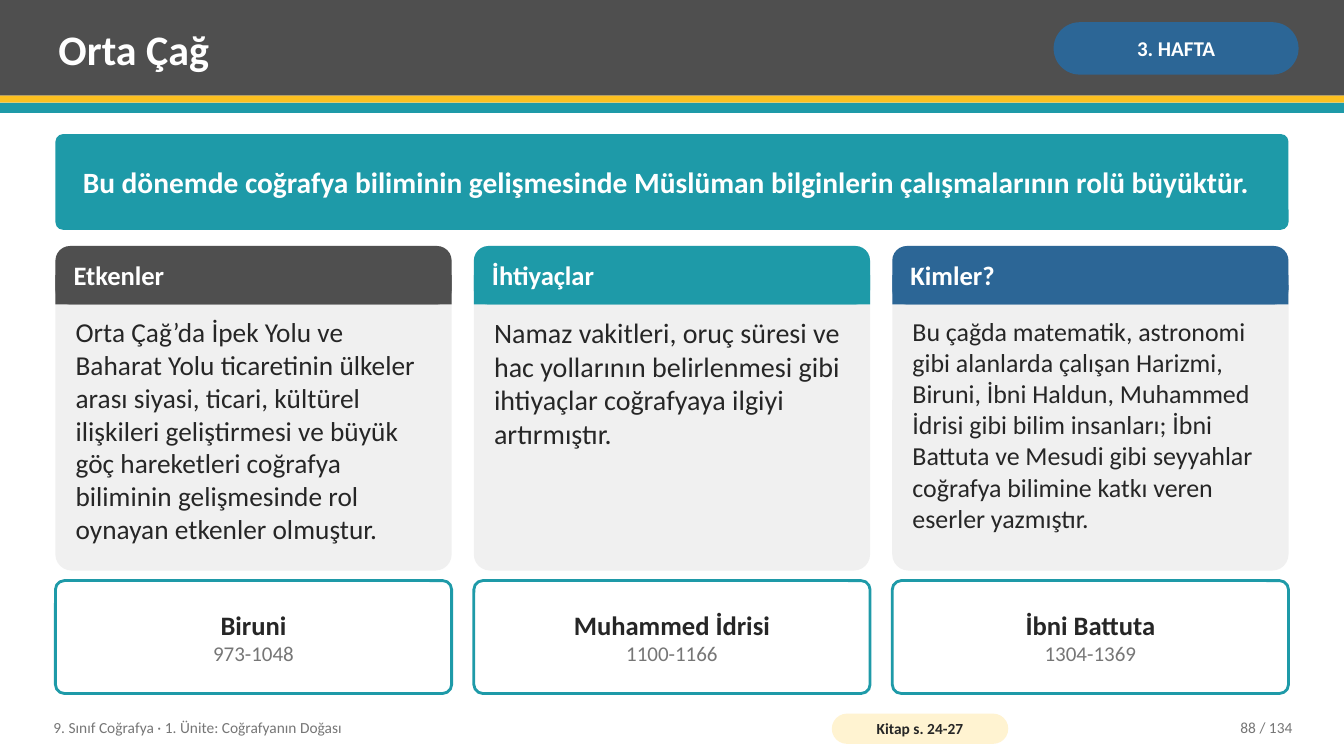
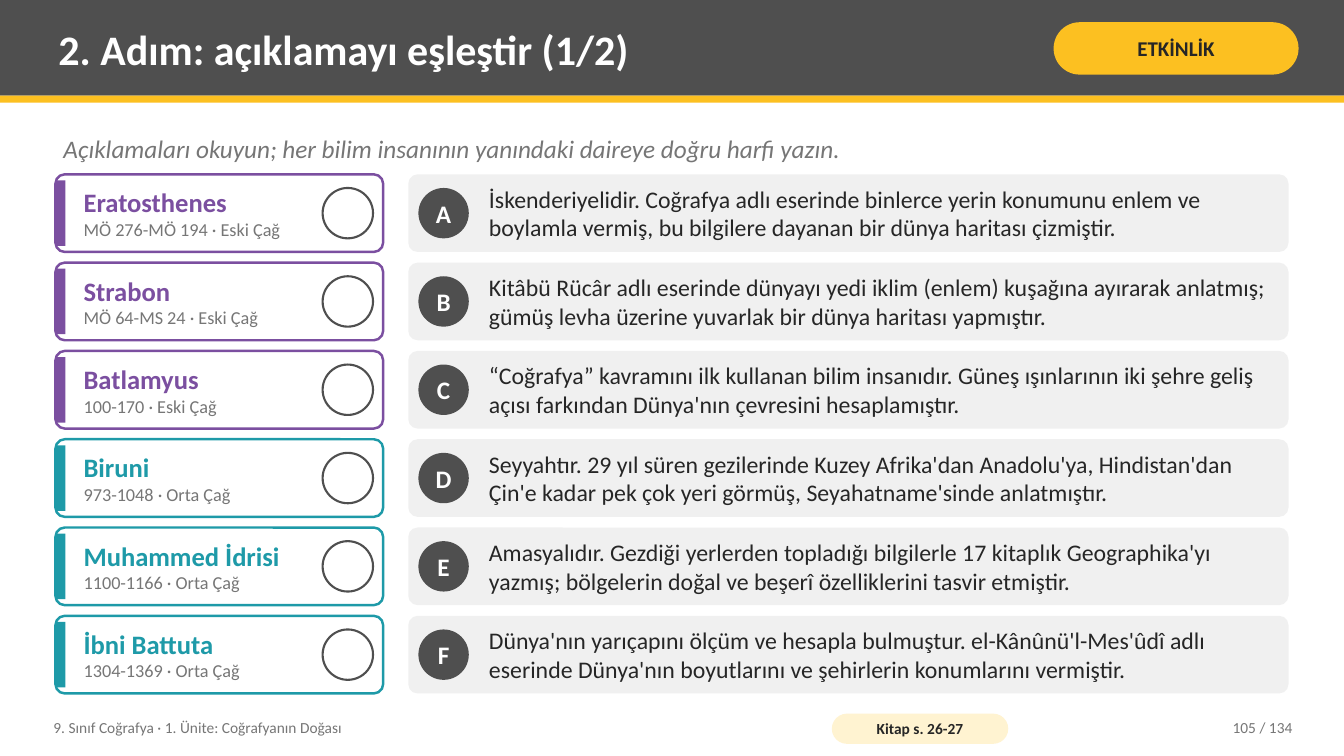
import pptx
import pptx.util
import pptx.dml.color
import pptx.enum.shapes
import pptx.enum.text

RECT = pptx.enum.shapes.MSO_SHAPE.RECTANGLE
ROUND = pptx.enum.shapes.MSO_SHAPE.ROUNDED_RECTANGLE
OVAL = pptx.enum.shapes.MSO_SHAPE.OVAL
LEFT = pptx.enum.text.PP_ALIGN.LEFT
CENTER = pptx.enum.text.PP_ALIGN.CENTER
RIGHT = pptx.enum.text.PP_ALIGN.RIGHT
TOP = pptx.enum.text.MSO_ANCHOR.TOP
MIDDLE = pptx.enum.text.MSO_ANCHOR.MIDDLE


class Theme:
    font = "Calibri"
    white, ink, muted, panel = "FFFFFF", "262626", "767676", "F0F0F0"
    dark, yellow, cream = "4F4F4F", "FCC021", "FFF3D1"
    teal, blue, purple = "1E9AA8", "2C6696", "7B4FA0"
    title = dict(size=30, bold=True, color=white)
    badge = dict(size=15, bold=True)
    lead = dict(size=21, bold=True, color=white)
    heading = dict(size=19, bold=True)
    years = dict(size=15, color=muted)
    hint = dict(size=18, italic=True, color=muted)
    era = dict(size=13, color=muted)
    letter = dict(size=18, bold=True, color=white)
    clue = dict(size=17, color=ink)
    footer = dict(size=11, color=muted)
    source = dict(size=11, bold=True, color=ink)


def write(box, lines, align=LEFT, anchor=MIDDLE, insets=(0.08, 0.04), wrap=True):
    """Fill a box with one paragraph per (text, style) pair."""
    frame = box.text_frame
    across, down = (pptx.util.Inches(inset) for inset in insets)
    settings = dict(word_wrap=wrap, auto_size=pptx.enum.text.MSO_AUTO_SIZE.NONE,
                    vertical_anchor=anchor, margin_left=across, margin_right=across,
                    margin_top=down, margin_bottom=down)
    for name, value in settings.items():
        setattr(frame, name, value)
    for index, (text, style) in enumerate(lines):
        para = frame.paragraphs[0] if index == 0 else frame.add_paragraph()
        para.alignment = align
        span = para.add_run()
        span.text = text
        span.font.name = Theme.font
        for name, value in style.items():
            if name == "color":
                span.font.color.rgb = pptx.dml.color.RGBColor.from_string(value)
            else:
                setattr(span.font, name, pptx.util.Pt(value) if name == "size" else value)


def draw(page, kind, at, fill=None, line=None, corner=None, lines=(), **layout):
    """Add a shape, or a text box when kind is None; lengths are in inches."""
    place = [pptx.util.Inches(length) for length in at]
    if kind is None:
        box = page.shapes.add_textbox(*place)
    else:
        box = page.shapes.add_shape(kind, *place)
        box.shadow.inherit = False
        box.fill.solid()
        box.fill.fore_color.rgb = pptx.dml.color.RGBColor.from_string(fill)
        if line:
            color, width = line
            box.line.color.rgb = pptx.dml.color.RGBColor.from_string(color)
            box.line.width = pptx.util.Pt(width)
        else:
            box.line.fill.background()
        if corner is not None:
            box.adjustments[0] = corner
    if lines:
        write(box, lines, **layout)
    return box


# Grid
WIDTH, HEIGHT = 13.33, 7.5
MARGIN = 0.55
CONTENT = WIDTH - 2 * MARGIN
BOTTOM = 6.88
BAND, STRIPE = 0.95, 0.07
FOOTER_TOP, FOOTER_HEIGHT = 7.04, 0.36

deck = pptx.Presentation()
deck.slide_width = pptx.util.Inches(WIDTH)
deck.slide_height = pptx.util.Inches(HEIGHT)
title_only = deck.slide_layouts[5]

# Title, badge and footer of each page
headers = [
    ("Orta Çağ", "3. HAFTA", Theme.blue, Theme.white, "Kitap s. 24-27", "88 / 134"),
    ("2. Adım: açıklamayı eşleştir (1/2)", "ETKİNLİK", Theme.yellow, Theme.ink,
     "Kitap s. 26-27", "105 / 134"),
]
pages = []
for title, badge, badge_fill, badge_color, source, number in headers:
    page = deck.slides.add_slide(title_only)
    pages.append(page)
    heading = page.shapes.title
    place = dict(left=0.5, top=0.07, width=9.75, height=0.82)
    for name, value in place.items():
        setattr(heading, name, pptx.util.Inches(value))
    write(heading, [(title, Theme.title)])
    draw(page, ROUND, (10.45, 0.22, 2.43, 0.52), badge_fill, corner=0.5,
         lines=[(badge, Theme.badge | dict(color=badge_color))],
         align=CENTER, insets=(0.05, 0.02))
    draw(page, ROUND, (8.25, 7.08, 1.75, 0.3), Theme.cream, corner=0.5,
         lines=[(source, Theme.source)], align=CENTER, insets=(0.04, 0))
    draw(page, None, (11.3, FOOTER_TOP, 1.6, FOOTER_HEIGHT),
         lines=[(number, Theme.footer)], align=RIGHT)
middle_ages, matching = pages

# Band, stripe and course name move to the layout, behind every page
shared = [
    draw(middle_ages, RECT, (0, 0, WIDTH, BAND), Theme.dark),
    draw(middle_ages, RECT, (0, BAND, WIDTH, STRIPE), Theme.yellow),
    draw(middle_ages, None, (0.45, FOOTER_TOP, 7.6, FOOTER_HEIGHT),
         lines=[("9. Sınıf Coğrafya · 1. Ünite: Coğrafyanın Doğası", Theme.footer)]),
]
for index, box in enumerate(shared):
    box._element.nvSpPr.cNvPr.set("id", str(100 + index))
    title_only.shapes._spTree.append(box._element)

# Page 1: lead sentence, three cards, three scholars
draw(middle_ages, RECT, (0, BAND + STRIPE, WIDTH, 0.1), Theme.teal)
draw(middle_ages, ROUND, (MARGIN, 1.33, CONTENT, 0.95), Theme.teal, corner=0.08,
     lines=[("Bu dönemde coğrafya biliminin gelişmesinde Müslüman bilginlerin "
             "çalışmalarının rolü büyüktür.", Theme.lead)], insets=(0.25, 0.08))
cards = [
    ("Etkenler", Theme.dark, 19.5,
     "Orta Çağ’da İpek Yolu ve Baharat Yolu ticaretinin ülkeler arası siyasi, ticari, "
     "kültürel ilişkileri geliştirmesi ve büyük göç hareketleri coğrafya biliminin "
     "gelişmesinde rol oynayan etkenler olmuştur.", "Biruni", "973-1048"),
    ("İhtiyaçlar", Theme.teal, 20,
     "Namaz vakitleri, oruç süresi ve hac yollarının belirlenmesi gibi ihtiyaçlar "
     "coğrafyaya ilgiyi artırmıştır.", "Muhammed İdrisi", "1100-1166"),
    ("Kimler?", Theme.blue, 18.5,
     "Bu çağda matematik, astronomi gibi alanlarda çalışan Harizmi, Biruni, İbni Haldun, "
     "Muhammed İdrisi gibi bilim insanları; İbni Battuta ve Mesudi gibi seyyahlar "
     "coğrafya bilimine katkı veren eserler yazmıştır.", "İbni Battuta", "1304-1369"),
]
gap = 0.22
card_width = (CONTENT - 2 * gap) / 3
card_top, card_height, head_height = 2.44, 3.22, 0.58
scholar_top = 5.76
for column, (head, color, size, body, name, years) in enumerate(cards):
    left = MARGIN + column * (card_width + gap)
    draw(middle_ages, ROUND, (left, card_top, card_width, card_height), Theme.panel, corner=0.05)
    draw(middle_ages, ROUND, (left, card_top, card_width, head_height), color, corner=0.25)
    draw(middle_ages, RECT, (left, card_top + head_height / 2, card_width, head_height / 2), color)
    draw(middle_ages, None, (left + 0.1, card_top, card_width - 0.2, head_height),
         lines=[(head, Theme.heading | dict(color=Theme.white))])
    draw(middle_ages, None, (left + 0.12, 3.09, card_width - 0.24, 2.48),
         lines=[(body, dict(size=size, color=Theme.ink))], anchor=TOP)
    draw(middle_ages, ROUND, (left, scholar_top, card_width, BOTTOM - scholar_top),
         Theme.white, (Theme.teal, 2), 0.08,
         [(name, Theme.heading | dict(color=Theme.ink)), (years, Theme.years)],
         align=CENTER, insets=(0.14, 0.08))

# Page 2: scholars on the left, lettered clues on the right
draw(matching, None, (MARGIN, 1.26, CONTENT, 0.42),
     lines=[("Açıklamaları okuyun; her bilim insanının yanındaki daireye doğru harfi yazın.",
             Theme.hint)])
eras = {"Eski Çağ": Theme.purple, "Orta Çağ": Theme.teal}
matches = [
    ("Eratosthenes", "MÖ 276-MÖ 194", "Eski Çağ",
     "İskenderiyelidir. Coğrafya adlı eserinde binlerce yerin konumunu enlem ve boylamla "
     "vermiş, bu bilgilere dayanan bir dünya haritası çizmiştir."),
    ("Strabon", "MÖ 64-MS 24", "Eski Çağ",
     "Kitâbü Rücâr adlı eserinde dünyayı yedi iklim (enlem) kuşağına ayırarak anlatmış; "
     "gümüş levha üzerine yuvarlak bir dünya haritası yapmıştır."),
    ("Batlamyus", "100-170", "Eski Çağ",
     "“Coğrafya” kavramını ilk kullanan bilim insanıdır. Güneş ışınlarının iki şehre geliş "
     "açısı farkından Dünya'nın çevresini hesaplamıştır."),
    ("Biruni", "973-1048", "Orta Çağ",
     "Seyyahtır. 29 yıl süren gezilerinde Kuzey Afrika'dan Anadolu'ya, Hindistan'dan Çin'e "
     "kadar pek çok yeri görmüş, Seyahatname'sinde anlatmıştır."),
    ("Muhammed İdrisi", "1100-1166", "Orta Çağ",
     "Amasyalıdır. Gezdiği yerlerden topladığı bilgilerle 17 kitaplık Geographika'yı yazmış; "
     "bölgelerin doğal ve beşerî özelliklerini tasvir etmiştir."),
    ("İbni Battuta", "1304-1369", "Orta Çağ",
     "Dünya'nın yarıçapını ölçüm ve hesapla bulmuştur. el-Kânûnü'l-Mes'ûdî adlı eserinde "
     "Dünya'nın boyutlarını ve şehirlerin konumlarını vermiştir."),
]
row_top, row_height = 1.73, 0.77
row_step = (BOTTOM - row_top - row_height) / (len(matches) - 1)
name_width, clue_left, circle, bar_height = 3.25, 4.05, 0.5, 0.65
clue_width = MARGIN + CONTENT - clue_left
for row, (letter, (name, years, era, clue)) in enumerate(zip("ABCDEF", matches)):
    top = row_top + row * row_step
    circle_top = top + (row_height - circle) / 2
    color = eras[era]
    draw(matching, ROUND, (MARGIN, top, name_width, row_height), Theme.white, (color, 1.75), 0.12)
    draw(matching, RECT, (MARGIN, top + (row_height - bar_height) / 2, 0.1, bar_height), color)
    draw(matching, None, (MARGIN + 0.2, top, 2.4, row_height),
         lines=[(name, Theme.heading | dict(color=color)), (f"{years} · {era}", Theme.era)],
         insets=(0.08, 0.02))
    draw(matching, OVAL, (MARGIN + name_width - circle - 0.1, circle_top, circle, circle),
         Theme.white, (Theme.dark, 1.5))
    draw(matching, ROUND, (clue_left, top, clue_width, row_height), Theme.panel, corner=0.12)
    draw(matching, OVAL, (clue_left + 0.1, circle_top, circle, circle), Theme.dark,
         lines=[(letter, Theme.letter)], align=CENTER, insets=(0, 0), wrap=False)
    draw(matching, None, (clue_left + 0.72, top, clue_width - 0.8, row_height),
         lines=[(clue, Theme.clue)], insets=(0.08, 0.02))

deck.save("out.pptx")
